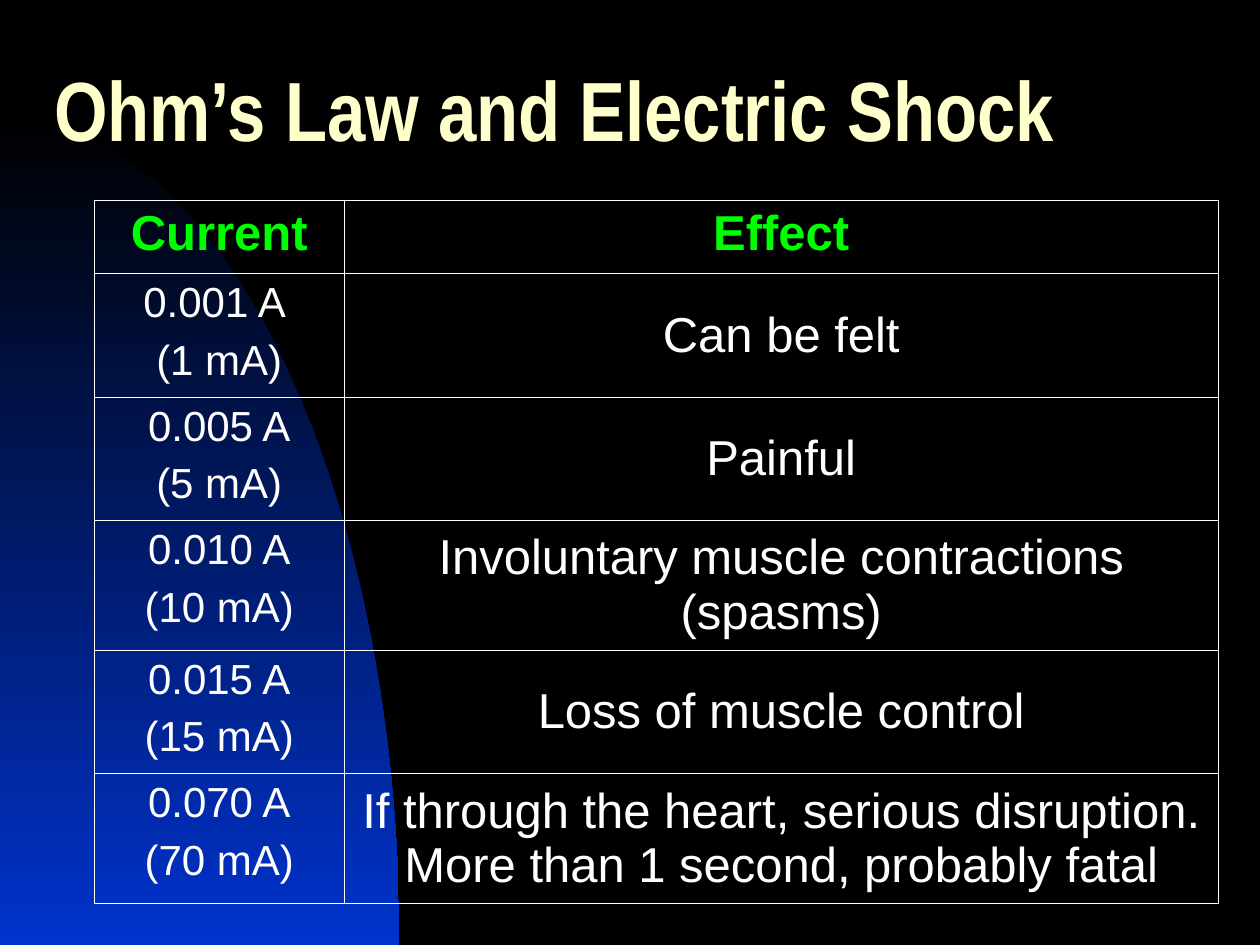
import math

from lxml import etree
from pptx import Presentation
from pptx import util as u
from pptx.dml.color import RGBColor
from pptx.enum import text
from pptx.oxml import ns

BLACK = RGBColor(0x00, 0x00, 0x00)
BLUE = RGBColor(0x00, 0x33, 0xCC)
CREAM = RGBColor(0xFF, 0xFF, 0xCC)
GREEN = RGBColor(0x00, 0xFF, 0x00)
WHITE = RGBColor(0xFF, 0xFF, 0xFF)

HEADINGS = ("Current", "Effect")
EFFECTS = [
    (("0.001 A ", "(1 mA)"), "Can be felt"),
    (("0.005 A", "(5 mA)"), "Painful"),
    (("0.010 A", "(10 mA)"), "Involuntary muscle contractions (spasms)"),
    (("0.015 A", "(15 mA)"), "Loss of muscle control"),
    (("0.070 A", "(70 mA)"),
     "If through the heart, serious disruption. More than 1 second, probably fatal"),
]
COLUMN_WIDTHS = (1.98, 6.94)
ROW_HEIGHTS = (0.58, 0.98, 0.98, 1.03, 0.98, 1.03)
OUTER_LINE, INNER_LINE = 1.08, 0.45


def set_font(paragraph, name, size, color, bold=False):
    """Format all the text of a paragraph."""
    font = paragraph.font
    font.name, font.size, font.bold = name, u.Pt(size), bold
    font.color.rgb = color


def add_backdrop(slide, left, top, width, height, steps=60):
    """Draw a quarter ellipse with a vertical gradient behind the title."""
    angles = [math.pi / 2 * step / steps for step in range(steps + 1)]
    arc = [(left + u.Inches(width * math.sin(a)),
            top + u.Inches(height * (1 - math.cos(a)))) for a in angles]
    builder = slide.shapes.build_freeform(*arc[0])
    builder.add_line_segments(arc[1:] + [(left, top + u.Inches(height))], close=True)
    glow = builder.convert_to_shape()
    glow.shadow.inherit = False
    glow.line.fill.background()
    glow.fill.gradient()
    glow.fill.gradient_angle = 270
    for stop, color, position in zip(glow.fill.gradient_stops, (BLACK, BLUE), (0, 1)):
        stop.color.rgb = color
        stop.position = position
    slide.shapes.title.element.addprevious(glow.element)


def place_title(slide, left, top, width, height):
    """Place and format the title placeholder."""
    title = slide.shapes.title
    title.left, title.top, title.width, title.height = left, top, width, height
    frame = title.text_frame
    frame.text = "Ohm’s Law and Electric Shock"
    frame.word_wrap = True
    frame.auto_size = text.MSO_AUTO_SIZE.NONE
    frame.vertical_anchor = text.MSO_ANCHOR.MIDDLE
    heading = frame.paragraphs[0]
    heading.alignment = text.PP_ALIGN.LEFT
    heading.line_spacing = 0.7
    set_font(heading, "Arial Narrow", 48, CREAM, bold=True)


def set_borders(cell, sides):
    """Give a cell white borders from a mapping of side to width in points."""
    properties = cell._tc.get_or_add_tcPr()
    for index, side in enumerate("LRTB"):
        line = etree.Element(ns.qn(f"a:ln{side}"), w=str(u.Pt(sides[side])))
        fill = etree.SubElement(line, ns.qn("a:solidFill"))
        etree.SubElement(fill, ns.qn("a:srgbClr"), val=str(WHITE))
        properties.insert(index, line)


def fill_cell(cell, lines, size, color, bold=False):
    """Write centred lines into a transparent cell."""
    cell.fill.background()
    cell.text = "\n".join(lines)
    for index, paragraph in enumerate(cell.text_frame.paragraphs):
        paragraph.alignment = text.PP_ALIGN.CENTER
        if index:
            paragraph.space_before = u.Pt(6)
        set_font(paragraph, "Arial", size, color, bold)


def add_effects_table(slide, left, top, width, height):
    """Add the table of currents and their effects."""
    rows, columns = len(ROW_HEIGHTS), len(COLUMN_WIDTHS)
    table = slide.shapes.add_table(rows, columns, left, top, width, height).table
    table.horz_banding = False
    for column, column_width in zip(table.columns, COLUMN_WIDTHS):
        column.width = u.Inches(column_width)
    for row, row_height in zip(table.rows, ROW_HEIGHTS):
        row.height = u.Inches(row_height)

    for column, heading in enumerate(HEADINGS):
        fill_cell(table.cell(0, column), [heading], 28, GREEN, bold=True)
    for row, (current, effect) in enumerate(EFFECTS, start=1):
        fill_cell(table.cell(row, 0), current, 24, WHITE)
        fill_cell(table.cell(row, 1), [effect], 28, WHITE)
        table.cell(row, 1).vertical_anchor = text.MSO_ANCHOR.MIDDLE

    for row in range(rows):
        for column in range(columns):
            outer = {"L": column == 0, "R": column == columns - 1,
                     "T": row == 0, "B": row == rows - 1}
            set_borders(table.cell(row, column),
                        {side: OUTER_LINE if edge else INNER_LINE
                         for side, edge in outer.items()})


def main():
    """Build and save the slide."""
    deck = Presentation()
    deck.slide_width, deck.slide_height = u.Inches(10), u.Inches(7.5)
    slide = deck.slides.add_slide(deck.slide_layouts[5])
    slide.background.fill.solid()
    slide.background.fill.fore_color.rgb = BLACK
    add_backdrop(slide, u.Inches(0), u.Inches(0.92), 3.17, 6.58)
    place_title(slide, u.Inches(0.33), u.Inches(0.33), u.Inches(9.42), u.Inches(1.25))
    add_effects_table(slide, u.Inches(0.75), u.Inches(1.59),
                      u.Inches(sum(COLUMN_WIDTHS)), u.Inches(sum(ROW_HEIGHTS)))
    deck.save("out.pptx")


if __name__ == "__main__":
    main()
